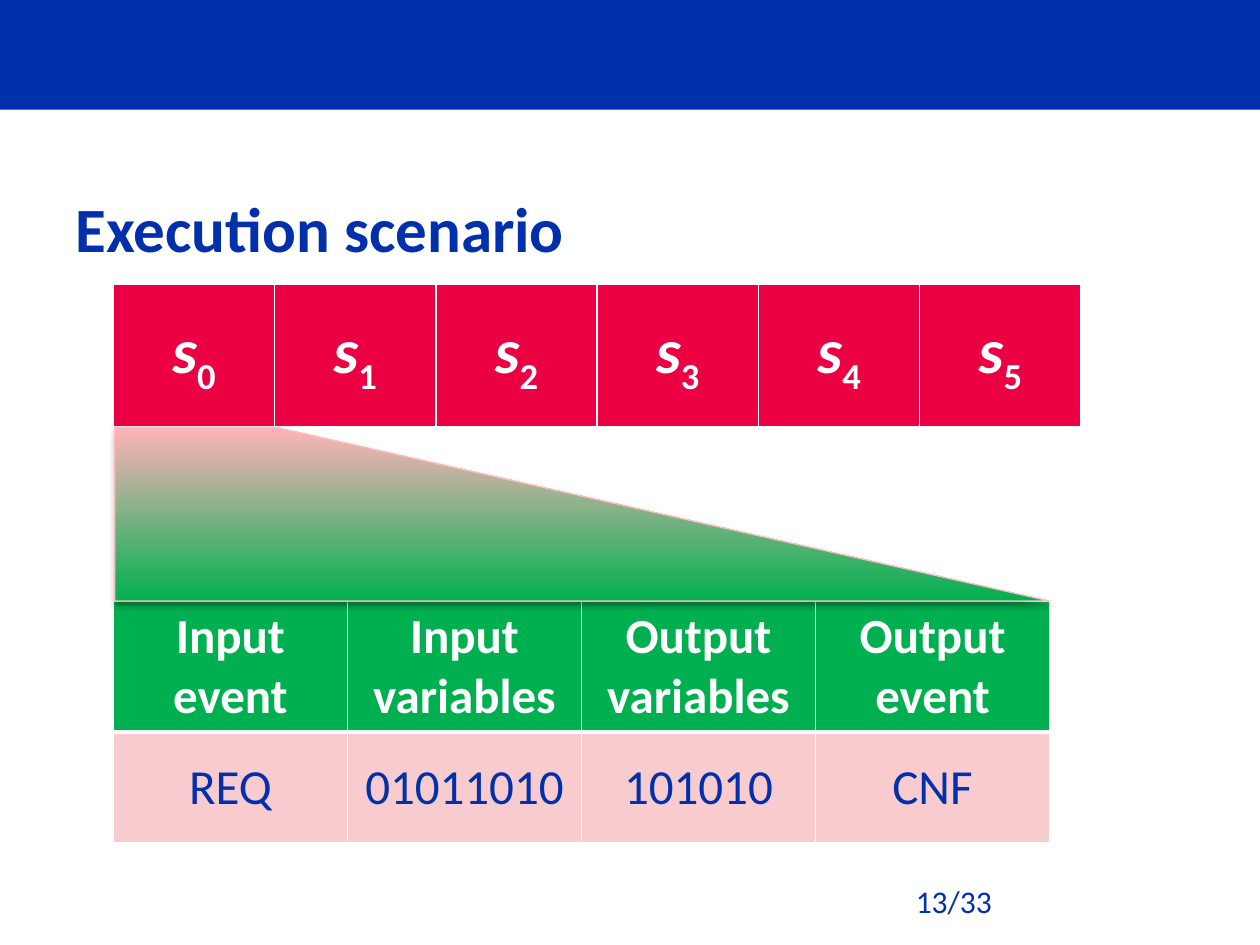
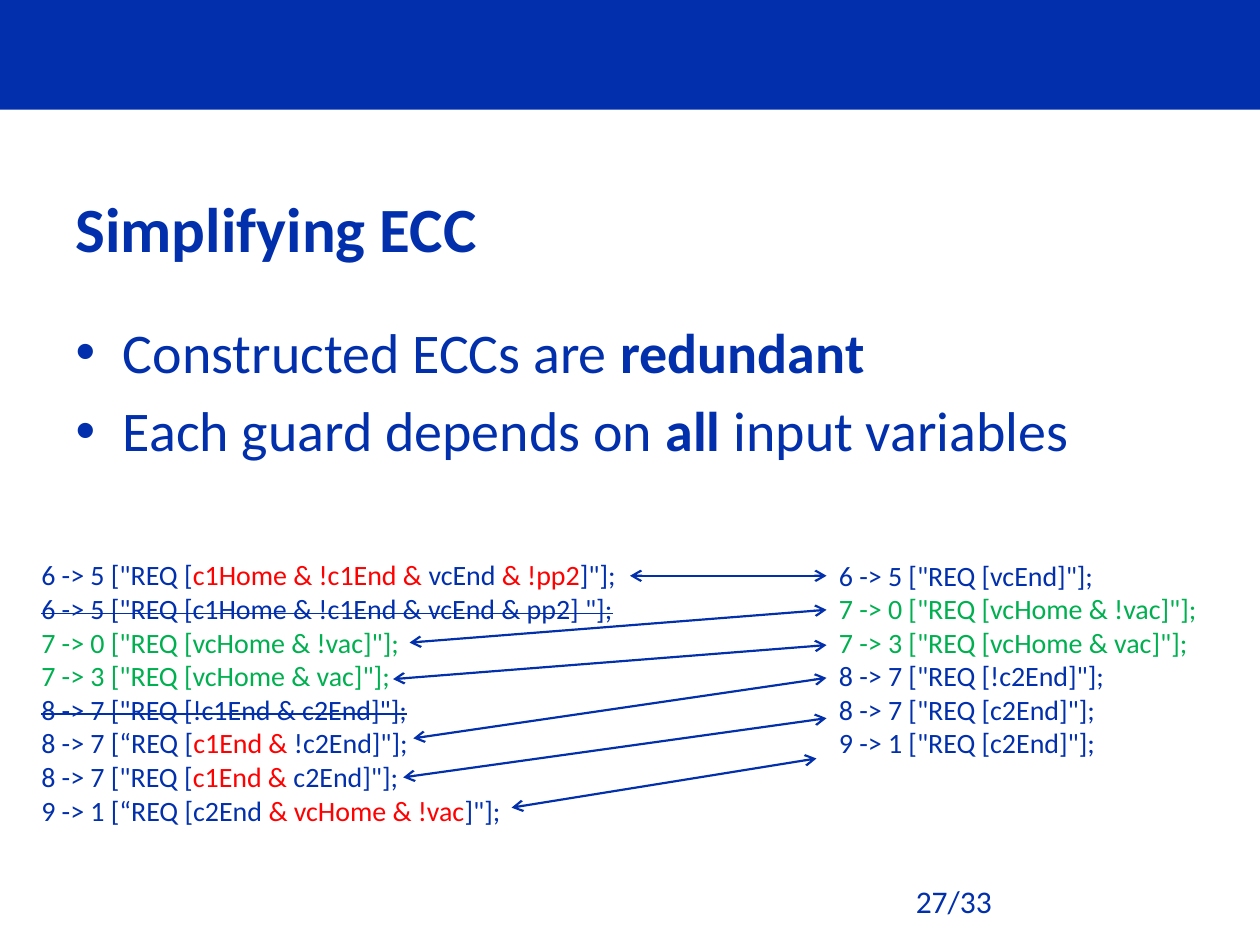
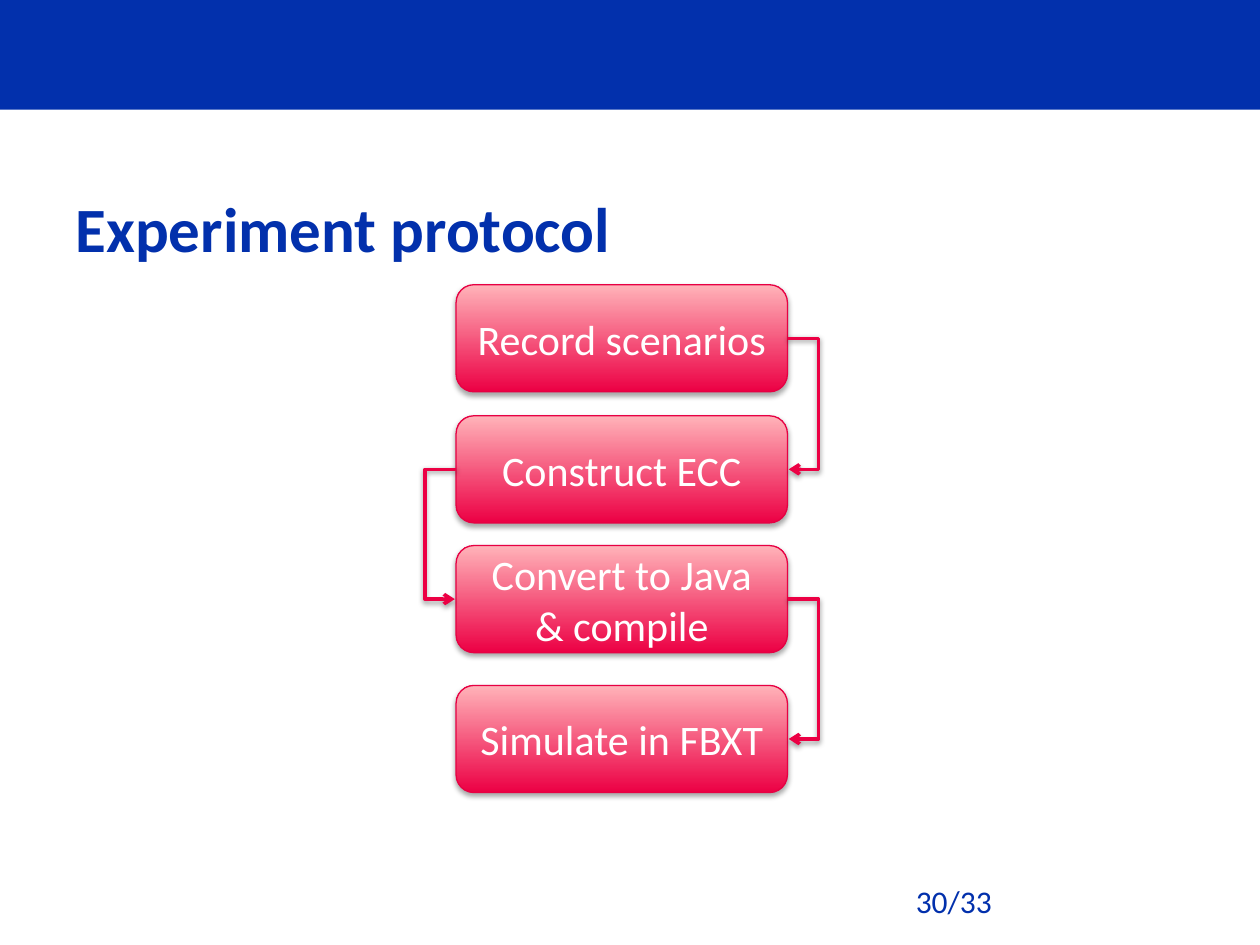
from collections import namedtuple
from dataclasses import dataclass

from pptx import Presentation
from pptx.dml.color import RGBColor
from pptx.enum.shapes import MSO_CONNECTOR, MSO_SHAPE
from pptx.enum.text import MSO_ANCHOR, MSO_AUTO_SIZE, PP_ALIGN
from pptx.oxml import parse_xml
from pptx.oxml.ns import nsdecls, qn
from pptx.util import Inches, Pt

Box = namedtuple("Box", "x y w h")


@dataclass(frozen=True)
class Theme:
    font: str = "Calibri"
    blue: str = "0230AC"
    crimson: str = "EC0044"
    crimson_edge: str = "E70043"
    rose: str = "FFB3B9"
    rose_edge: str = "FFBDC2"
    blush: str = "F8CCCF"
    green: str = "00B050"
    red: str = "FF0000"
    white: str = "FFFFFF"
    title: int = 36
    body: int = 32
    table: int = 28
    step: int = 24
    page: int = 18
    code: int = 16


THEME = Theme()
BAND = Box(0, 0, 10, 0.87)
TITLE = Box(0.5, 1.35, 9, 0.9)
PAGE = Box(7.17, 6.95, 2.33, 0.4)

CODE_STYLES = {
    "plain": {"color": THEME.blue},
    "extra": {"color": THEME.red},
    "same": {"color": THEME.green},
    "cut": {"color": THEME.blue, "strike": "sngStrike"},
}
FULL_GUARDS = [
    [('6 -> 5 ["REQ [', "plain"), ("c1Home & !c1End & ", "extra"),
     ("vcEnd ", "plain"), ("& !pp2", "extra"), (']"];', "plain")],
    [('6 -> 5 ["REQ [c1Home & !c1End & vcEnd & pp2] "];', "cut")],
    [('7 -> 0 ["REQ [vcHome & !vac]"];', "same")],
    [('7 -> 3 ["REQ [vcHome & vac]"];', "same")],
    [('8 -> 7 ["REQ [!c1End & c2End]"];', "cut")],
    [('8 -> 7 [“REQ [', "plain"), ("c1End & ", "extra"), ('!c2End]"];', "plain")],
    [('8 -> 7 ["REQ [', "plain"), ("c1End & ", "extra"), ('c2End]"];', "plain")],
    [("9 -> 1 [“REQ [c2End", "plain"), (" & vcHome & !vac", "extra"), (']"];', "plain")],
]
SIMPLE_GUARDS = [
    [('6 -> 5 ["REQ [vcEnd]"];', "plain")],
    [('7 -> 0 ["REQ [vcHome & !vac]"];', "same")],
    [('7 -> 3 ["REQ [vcHome & vac]"];', "same")],
    [('8 -> 7 ["REQ [!c2End]"];', "plain")],
    [('8 -> 7 ["REQ [c2End]"];', "plain")],
    [('9 -> 1 ["REQ [c2End]"];', "plain")],
]
GUARD_ARROWS = [
    (4.77, 0.19, 6.33, 0.19),
    (3.02, 0.72, 6.33, 0.46),
    (2.89, 1.01, 6.33, 0.74),
    (3.05, 1.48, 6.33, 1.0),
    (2.97, 1.79, 6.33, 1.32),
    (3.83, 2.03, 6.25, 1.64),
]


def rgb(color):
    return RGBColor.from_string(color)


def inches(values):
    return [Inches(v) for v in values]


def place(sp, box):
    for name, value in zip(("left", "top", "width", "height"), box):
        setattr(sp, name, Inches(value))


def add_run(p, text, size, color=THEME.blue, baseline=None, strike=None, **values):
    r = p.add_run()
    r.text = text
    r.font.color.rgb = rgb(color)
    for name, value in {"name": THEME.font, "size": Pt(size), **values}.items():
        setattr(r.font, name, value)
    for name, value in {"baseline": baseline, "strike": strike}.items():
        if value:
            r.font._element.set(name, value)


def set_line(sp, color, width):
    sp.line.color.rgb = rgb(color)
    sp.line.width = Pt(width)


def set_gradient(sp, bottom, top):
    sp.fill.gradient()
    sp.fill.gradient_angle = 90
    for stop, color in zip(sp.fill.gradient_stops, (bottom, top)):
        stop.color.rgb = rgb(color)


def set_effects(sp, opacity=0, distance=0):
    shadow = (
        f'<a:outerShdw blurRad="{Pt(3.1)}" dist="{Pt(distance)}" dir="5400000" rotWithShape="0">'
        f'<a:srgbClr val="000000"><a:alpha val="{opacity * 1000}"/></a:srgbClr></a:outerShdw>'
    ) if opacity else ""
    sp.element.spPr.append(
        parse_xml(f'<a:effectLst {nsdecls("a")}>{shadow}</a:effectLst>'))


def set_arrowheads(cxn, *ends):
    ln = cxn.element.spPr.find(qn("a:ln"))
    for end in ends:
        ln.append(parse_xml(f'<a:{end} {nsdecls("a")} type="arrow"/>'))


def set_borders(cell, **widths):
    tcPr = cell._tc.get_or_add_tcPr()
    for side in "LRTB":
        tcPr.append(parse_xml(
            f'<a:ln{side} {nsdecls("a")} w="{Pt(widths.get(side, 1))}"><a:solidFill>'
            f'<a:srgbClr val="{THEME.white}"/></a:solidFill></a:ln{side}>'))


def add_band(prs, s, box):
    sp = s.shapes.add_shape(MSO_SHAPE.RECTANGLE, *inches(box))
    sp.shadow.inherit = False
    sp.fill.solid()
    sp.fill.fore_color.rgb = rgb(THEME.blue)
    sp.line.fill.background()
    prs.slide_master.element.cSld.spTree.insert(2, sp.element)


def add_text(s, box, lines, size):
    tf = s.shapes.add_textbox(*inches(box)).text_frame
    tf.word_wrap = True
    for i, runs in enumerate(lines):
        p = tf.paragraphs[0] if i == 0 else tf.add_paragraph()
        for text, style in runs:
            add_run(p, text, size, **CODE_STYLES[style])
    return tf


def add_slide(prs, layout, title, page):
    s = prs.slides.add_slide(prs.slide_layouts.get_by_name(layout))
    sp = s.shapes.title
    place(sp, TITLE)
    sp.text_frame.vertical_anchor = MSO_ANCHOR.MIDDLE
    p = sp.text_frame.paragraphs[0]
    p.alignment = PP_ALIGN.LEFT
    add_run(p, title, THEME.title, bold=True)
    add_text(s, PAGE, [[(f"{page}/33", "plain")]], THEME.page)
    return s


def add_grid(s, box, row_heights, cols):
    table = s.shapes.add_table(len(row_heights), cols, *inches(box)).table
    table.horz_banding = False
    for col in table.columns:
        col.width = Inches(box.w / cols)
    for row, height in zip(table.rows, row_heights):
        row.height = Inches(height)
    return table


def fill_cell(cell, color, runs, anchor=MSO_ANCHOR.MIDDLE, **borders):
    set_borders(cell, **borders)
    cell.fill.solid()
    cell.fill.fore_color.rgb = rgb(color)
    cell.vertical_anchor = anchor
    p = cell.text_frame.paragraphs[0]
    p.alignment = PP_ALIGN.CENTER
    for text, values in runs:
        add_run(p, text, **values)


def add_states(s, box, count):
    table = add_grid(s, box, [box.h], count)
    style = {"size": THEME.title, "color": THEME.white, "bold": True}
    for i in range(count):
        runs = [("s", {**style, "italic": True}), (str(i), {**style, "baseline": "-25000"})]
        fill_cell(table.cell(0, i), THEME.crimson, runs, B=3)


def add_step_detail(s, box, detail):
    table = add_grid(s, box, [1.04, 0.88], len(detail))
    head = {"size": THEME.table, "color": THEME.white, "bold": True}
    value = {"size": THEME.table, "bold": False}
    for i, (name, text) in enumerate(detail):
        fill_cell(table.cell(0, i), THEME.green, [(name, head)], MSO_ANCHOR.TOP, B=3)
        fill_cell(table.cell(1, i), THEME.blush, [(text, value)], T=3)


def add_zoom(s, box, top_width):
    right, bottom = box.x + box.w, box.y + box.h
    outline = [(box.x + top_width, box.y), (right, bottom), (box.x, bottom)]
    fb = s.shapes.build_freeform(Inches(box.x), Inches(box.y))
    fb.add_line_segments([inches(point) for point in outline], close=True)
    sp = fb.convert_to_shape()
    set_gradient(sp, THEME.green, THEME.rose)
    set_line(sp, THEME.rose_edge, 0.75)
    set_effects(sp, 35, 1.8)


def add_bullets(s, box, lines):
    sp = s.placeholders[1]
    place(sp, box)
    tf = sp.text_frame
    for i, runs in enumerate(lines):
        p = tf.paragraphs[0] if i == 0 else tf.add_paragraph()
        for text, bold in runs:
            add_run(p, text, THEME.body, bold=bold)


def add_guards(s, box):
    columns = [
        (Box(box.x, box.y, 5.23, 2.26), FULL_GUARDS),
        (Box(box.x + 6.33, box.y, 3.4, 1.72), SIMPLE_GUARDS),
    ]
    for column, lines in columns:
        tf = add_text(s, column, lines, THEME.code)
        tf.auto_size = MSO_AUTO_SIZE.SHAPE_TO_FIT_TEXT
    for x1, y1, x2, y2 in GUARD_ARROWS:
        ends = inches((box.x + x1, box.y + y1, box.x + x2, box.y + y2))
        cxn = s.shapes.add_connector(MSO_CONNECTOR.STRAIGHT, *ends)
        set_line(cxn, THEME.blue, 1.25)
        set_arrowheads(cxn, "headEnd", "tailEnd")
        set_effects(cxn)


def add_step(s, box, text):
    sp = s.shapes.add_shape(MSO_SHAPE.ROUNDED_RECTANGLE, *inches(box))
    set_gradient(sp, THEME.crimson, THEME.rose)
    set_line(sp, THEME.crimson_edge, 0.75)
    set_effects(sp, 35, 1.8)
    tf = sp.text_frame
    tf.word_wrap = True
    tf.vertical_anchor = MSO_ANCHOR.MIDDLE
    p = tf.paragraphs[0]
    p.alignment = PP_ALIGN.CENTER
    add_run(p, text, THEME.step, THEME.white)
    return sp


def link_steps(s, start, end, on_right):
    site, side = (3, 1) if on_right else (1, -1)
    cxn = s.shapes.add_connector(MSO_CONNECTOR.ELBOW, 0, 0, 0, 0)
    cxn.begin_connect(start, site)
    cxn.end_connect(end, site)
    cxn.end_x = cxn.begin_x + side * Inches(0.01)
    guides = cxn.element.spPr.find(qn("a:prstGeom")).find(qn("a:avLst"))
    guides.append(parse_xml(f'<a:gd {nsdecls("a")} name="adj1" fmla="val 2500000"/>'))
    set_line(cxn, THEME.crimson, 2)
    set_arrowheads(cxn, "tailEnd")
    set_effects(cxn, 38, 1.6)


def add_protocol(s, box, steps):
    shapes = [add_step(s, Box(box.x, box.y + dy, box.w, 0.85), text) for dy, text in steps]
    for i, (start, end) in enumerate(zip(shapes, shapes[1:])):
        link_steps(s, start, end, on_right=i % 2 == 0)


def main():
    prs = Presentation()
    prs.slide_width, prs.slide_height = inches((10, 7.5))

    s = add_slide(prs, "Title Only", "Execution scenario", 13)
    add_band(prs, s, BAND)
    add_states(s, Box(0.9, 2.26, 7.68, 1.14), 6)
    add_step_detail(s, Box(0.9, 4.77, 7.43, 1.92), [
        ("Input event", "REQ"),
        ("Input variables", "01011010"),
        ("Output variables", "101010"),
        ("Output event", "CNF"),
    ])
    add_zoom(s, Box(0.91, 3.39, 7.42, 1.38), 1.27)

    s = add_slide(prs, "Title and Content", "Simplifying ECC", 27)
    add_bullets(s, Box(0.5, 2.47, 9, 4.23), [
        [("Constructed ECCs are ", False), ("redundant", True)],
        [("Each guard depends on ", False), ("all", True), (" input variables", False)],
    ])
    add_guards(s, Box(0.23, 4.38, 9.73, 2.26))

    s = add_slide(prs, "Title Only", "Experiment protocol", 30)
    add_protocol(s, Box(3.62, 2.26, 2.63, 4.03), [
        (0, "Record scenarios"),
        (1.04, "Construct ECC"),
        (2.07, "Convert to Java & compile"),
        (3.18, "Simulate in FBXT"),
    ])

    prs.save("out.pptx")


if __name__ == "__main__":
    main()
